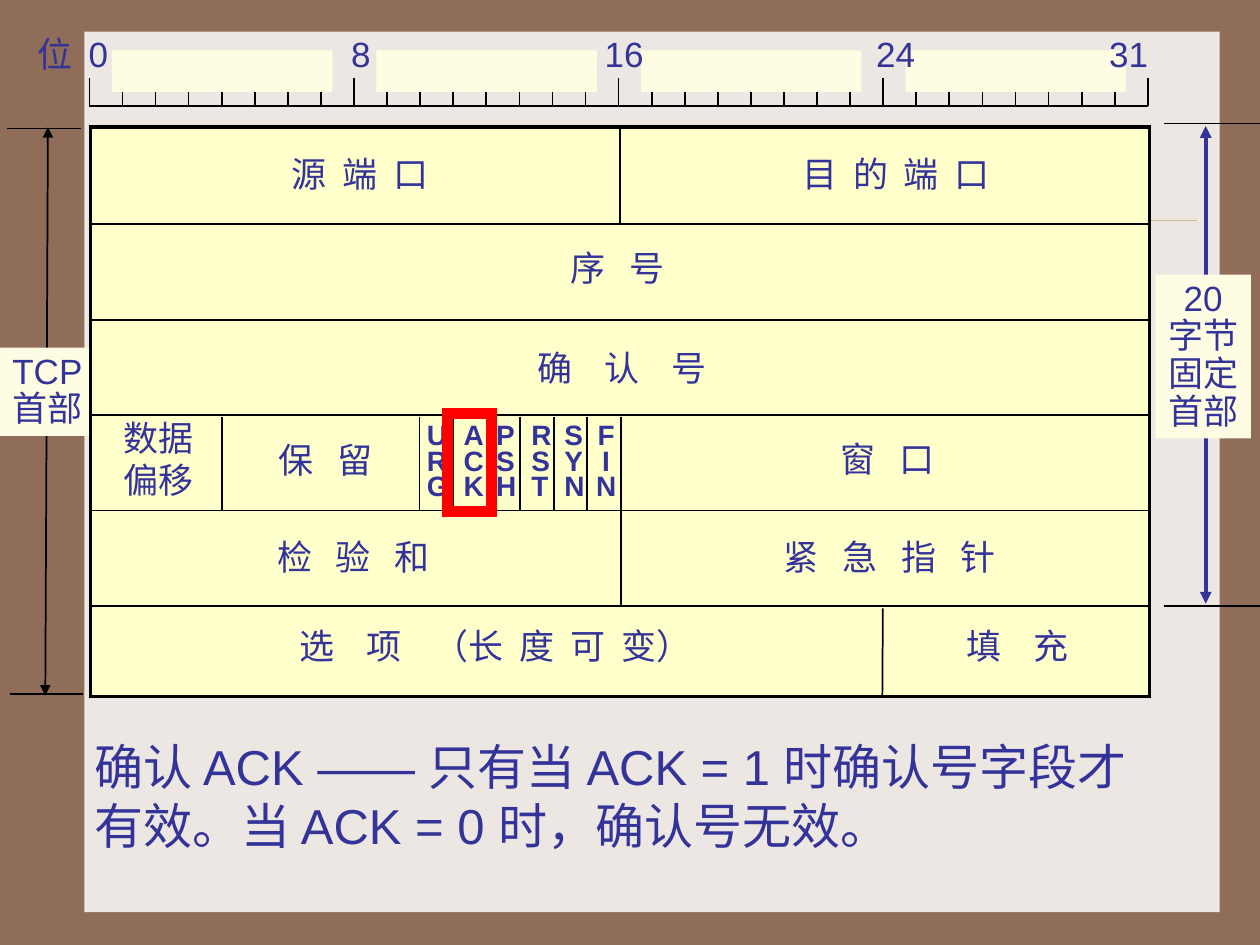
from dataclasses import dataclass

from lxml.etree import SubElement
from pptx import Presentation
from pptx.dml.color import RGBColor
from pptx.enum.shapes import MSO_CONNECTOR, MSO_SHAPE
from pptx.enum.text import MSO_ANCHOR, MSO_AUTO_SIZE, PP_ALIGN
from pptx.oxml.ns import qn
from pptx.util import Pt

INK, BLACK, RED = "333399", "000000", "FF0000"
CREAM, YELLOW, PAPER = "FEFDE3", "FFFFCC", "EDE7E3"
FONT = "Arial"
SPACE_WIDTH = 4.57  # one space between Chinese characters at 20 points
BIT, RULER_LEFT, RULER_BASE = 18.9, 51.1, 60.5
HEADER_LEFT, HEADER_RIGHT, ROW_TOP, ROW_PITCH = 51.6, 657.2, 128.2, 54.5
FLAG_ROW_TOP, FLAG_ROW_BOTTOM = 238.1, 291.8
FLAG_LEFTS = {"URG": 236.9, "ACK": 257.8, "PSH": 276.5,
              "RST": 296.6, "SYN": 315.4, "FIN": 333.4}


@dataclass(frozen=True)
class Area:
    left: float
    top: float
    width: float
    height: float

    def lengths(self):
        return Pt(self.left), Pt(self.top), Pt(self.width), Pt(self.height)


@dataclass(frozen=True)
class Piece:
    """Text whose single spaces are stretched to `gap` space widths."""
    text: str
    gap: int = 1


@dataclass(frozen=True)
class Field:
    area: Area
    pieces: tuple[Piece, ...]


def colour(hex_value: str) -> RGBColor:
    return RGBColor.from_string(hex_value)


def add_rectangle(slide, area: Area, fill: str = "", line: str = "", width: float = 0):
    box = slide.shapes.add_shape(MSO_SHAPE.RECTANGLE, *area.lengths())
    box.shadow.inherit = False
    if fill:
        box.fill.solid()
        box.fill.fore_color.rgb = colour(fill)
    else:
        box.fill.background()
    if line:
        box.line.color.rgb = colour(line)
        box.line.width = Pt(width)
        SubElement(box.line._get_or_add_ln(), qn("a:miter"), lim="800000")
    else:
        box.line.fill.background()
    return box


def add_line(slide, x1: float, y1: float, x2: float, y2: float,
             line: str = BLACK, width: float = 1, arrows: bool = False):
    connector = slide.shapes.add_connector(
        MSO_CONNECTOR.STRAIGHT, Pt(x1), Pt(y1), Pt(x2), Pt(y2))
    connector.line.color.rgb = colour(line)
    connector.line.width = Pt(width)
    if arrows:
        outline = connector.line._get_or_add_ln()
        for end in ("a:headEnd", "a:tailEnd"):
            SubElement(outline, qn(end), type="triangle")
    SubElement(connector._element.spPr, qn("a:effectLst"))
    return connector


def format_font(font, size: float, bold: bool = False) -> None:
    font.name, font.size, font.bold = FONT, Pt(size), bold
    font.color.rgb = colour(INK)


def prepare_frame(box, wrap: bool):
    frame = box.text_frame
    frame.word_wrap = wrap
    frame.auto_size = MSO_AUTO_SIZE.SHAPE_TO_FIT_TEXT
    frame.vertical_anchor = MSO_ANCHOR.TOP
    return frame


def write_text(box, text: str, size: float = 20, spacing: float = 1.0, bold: bool = False,
               align=PP_ALIGN.LEFT, wrap: bool = False) -> None:
    frame = prepare_frame(box, wrap)
    frame.text = text
    for para in frame.paragraphs:
        para.alignment = align
        para.line_spacing = spacing
        for span in para.runs:
            format_font(span.font, size, bold)


def add_text(slide, area: Area, text: str, **style) -> None:
    write_text(slide.shapes.add_textbox(*area.lengths()), text, **style)


def spread(text: str, gap: int) -> tuple[Piece, ...]:
    """Stretch all gaps, leaving nothing after the last character."""
    return Piece(text[:-1], gap), Piece(text[-1])


def add_field(slide, field: Field) -> None:
    box = slide.shapes.add_textbox(*field.area.lengths())
    para = prepare_frame(box, True).paragraphs[0]
    for piece in field.pieces:
        span = para.add_run()
        span.text = piece.text
        format_font(span.font, 20)
        if piece.gap > 1:
            # Half of the extra width follows each character, half each space.
            extra = SPACE_WIDTH * (piece.gap - 1) / 2
            span._r.get_or_add_rPr().set("spc", str(round(extra * 100)))


def draw_ruler(slide) -> None:
    add_line(slide, RULER_LEFT, RULER_BASE, RULER_LEFT + 32 * BIT, RULER_BASE)
    for bit in range(33):
        x = RULER_LEFT + bit * BIT
        add_line(slide, x, 44.6 if bit % 8 == 0 else 36.7, x, RULER_BASE)
    for octet in range(4):
        add_rectangle(slide, Area(63.9 + octet * 8 * BIT, 28.8, 126, 23.8), CREAM)
    box = slide.shapes.add_textbox(*Area(14.4, 15.1, 650.9, 31).lengths())
    para = prepare_frame(box, True).paragraphs[0]
    para.text = "位\t0\t8\t16\t24\t31"
    stops = SubElement(para._p.get_or_add_pPr(), qn("a:tabLst"))
    for position in (29.2, 179.2, 324, 479.2, 612.4):
        SubElement(stops, qn("a:tab"), pos=str(int(Pt(position))), algn="l")
    for span in para.runs:
        format_font(span.font, 20)


def draw_header_grid(slide) -> None:
    header = add_rectangle(slide, Area(HEADER_LEFT, 72.6, 605.4, 325.4), YELLOW, BLACK, 2)
    for row in range(5):
        y = ROW_TOP + row * ROW_PITCH
        add_line(slide, HEADER_LEFT, y, HEADER_RIGHT, y)
    ports_divider = add_line(slide, 354.3, 72.6, 354.3, 128.7)
    ports_divider.begin_connect(header, 0)
    add_line(slide, 355, FLAG_ROW_TOP, 355, 346.3)
    add_line(slide, 126.8, FLAG_ROW_TOP, 126.8, FLAG_ROW_BOTTOM)
    add_line(slide, 504.5, 347.6, 504.2, 398.5)


def draw_flags(slide) -> None:
    for index, (name, left) in enumerate(FLAG_LEFTS.items()):
        x = 239.8 + index * 19.15
        add_line(slide, x, FLAG_ROW_TOP, x, FLAG_ROW_BOTTOM)
        add_text(slide, Area(left, 239.8, 25.9, 50.4), "\n".join(name),
                 size=16, spacing=0.75, bold=True,
                 align=PP_ALIGN.CENTER if name == "FIN" else PP_ALIGN.LEFT)


def draw_fields(slide) -> None:
    options = (Piece("选 项 ", 4), Piece("（"), Piece("长 度 可 ", 2), Piece("变）"))
    fields = (
        Field(Area(159.8, 83.5, 100, 31), spread("源 端 口", 2)),
        Field(Area(451.4, 83.5, 130, 31), spread("目 的 端 口", 2)),
        Field(Area(319, 137.5, 108.7, 31), spread("序 号", 3)),
        Field(Area(300.2, 194.4, 144.7, 31), spread("确 认 号", 4)),
        Field(Area(151.9, 247, 76, 31), spread("保 留", 3)),
        Field(Area(473, 246.2, 76, 31), spread("窗 口", 3)),
        Field(Area(151.2, 302.4, 110, 31), spread("检 验 和", 3)),
        Field(Area(440.6, 302.4, 144, 31), spread("紧 急 指 针", 3)),
        Field(Area(164.2, 353.5, 252, 31), options),
        Field(Area(545, 353.5, 98.6, 31), spread("填 充", 4)),
    )
    for field in fields:
        add_field(slide, field)
    add_text(slide, Area(63.4, 234.7, 54.7, 54.7), "数据\n偏移")


def draw_extents(slide) -> None:
    """Draw the double arrows, their end marks and their captions."""
    add_line(slide, 27.4, 72.7, 25.9, 397.4, arrows=True)
    total = add_rectangle(slide, Area(0, 198.7, 54.7, 50.4), CREAM)
    write_text(total, "TCP\n首部", spacing=0.9)
    add_line(slide, 689, 72, 689, 344.9, INK, 2.25, arrows=True)
    fixed = add_rectangle(slide, Area(660.2, 157, 54.7, 93.6), CREAM)
    write_text(fixed, "20\n字节\n固定\n首部", spacing=0.9, align=PP_ALIGN.CENTER)
    for left, right, y in ((665.3, 720, 70.6), (665.3, 720, 346.3),
                           (4.3, 46.1, 73.4), (5.8, 47.5, 396.7)):
        add_line(slide, left, y, right, y)


def main() -> None:
    deck = Presentation()
    deck.slide_width, deck.slide_height = Pt(720), Pt(540)
    slide = deck.slides.add_slide(deck.slide_layouts[6])
    slide.background.fill.solid()
    slide.background.fill.fore_color.rgb = colour("906D58")
    add_rectangle(slide, Area(48.2, 18, 648.7, 503.3), PAPER)
    add_line(slide, 79.9, 126, 684, 126, "CBBD83", 0.25)
    draw_extents(slide)
    draw_header_grid(slide)
    draw_fields(slide)
    draw_flags(slide)
    draw_ruler(slide)
    add_text(slide, Area(46.8, 417.6, 625, 74.9),
             "确认 ACK —— 只有当 ACK = 1 时确认号字段才有效。当 ACK = 0 时，确认号无效。",
             size=28, wrap=True)
    add_rectangle(slide, Area(255.6, 236.2, 25.2, 56.2), line=RED, width=6)
    deck.save("out.pptx")


if __name__ == "__main__":
    main()
